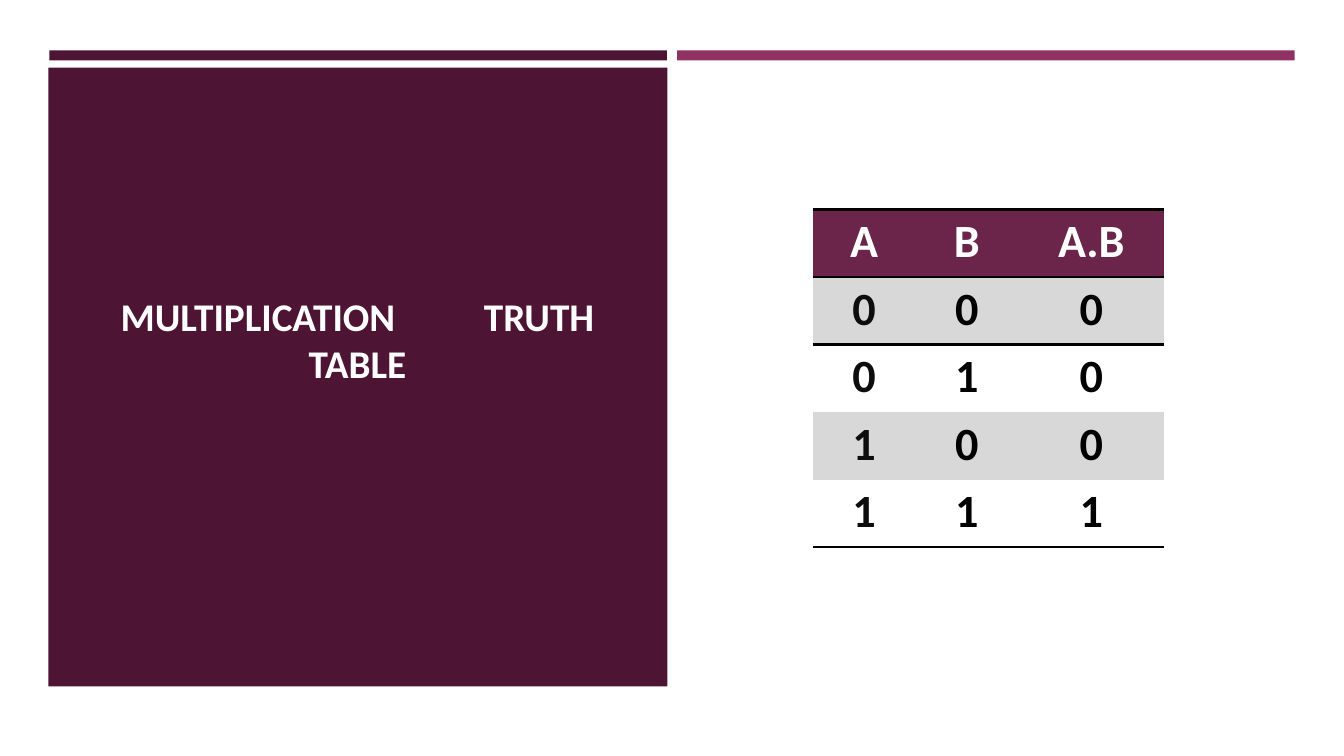
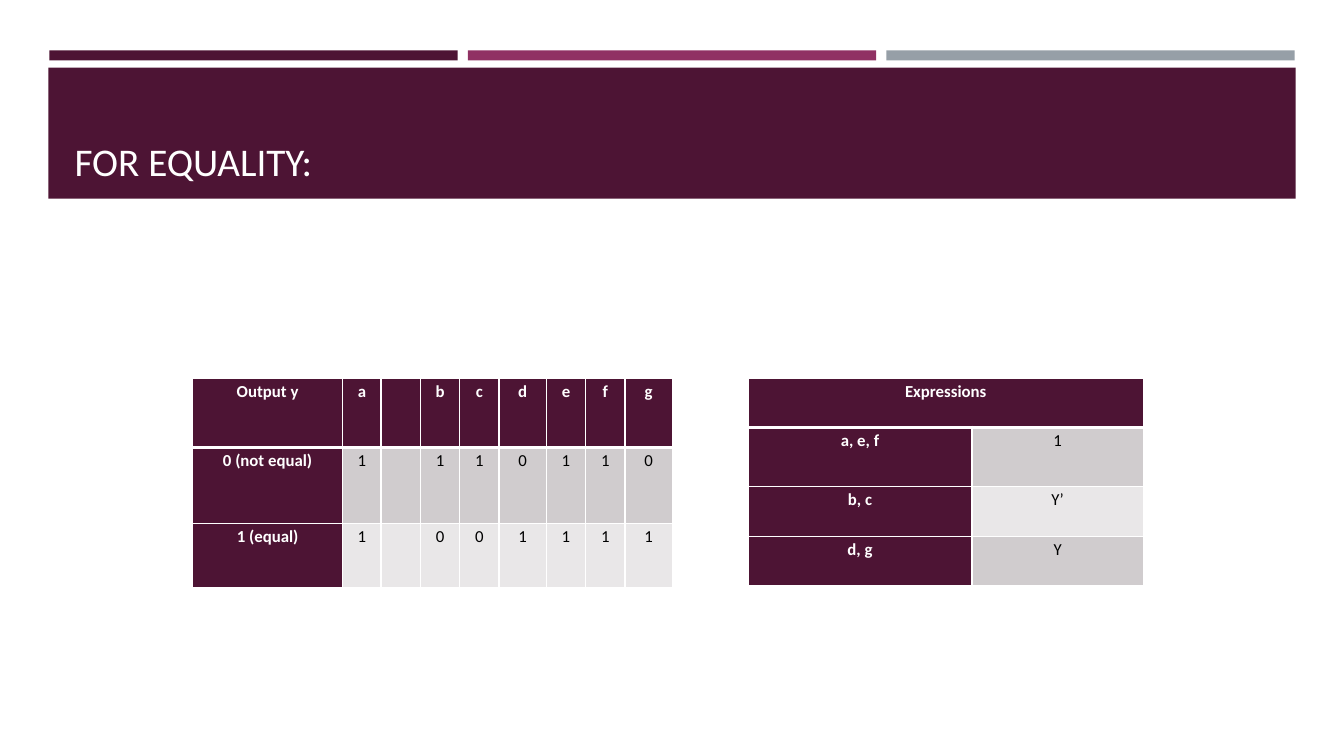
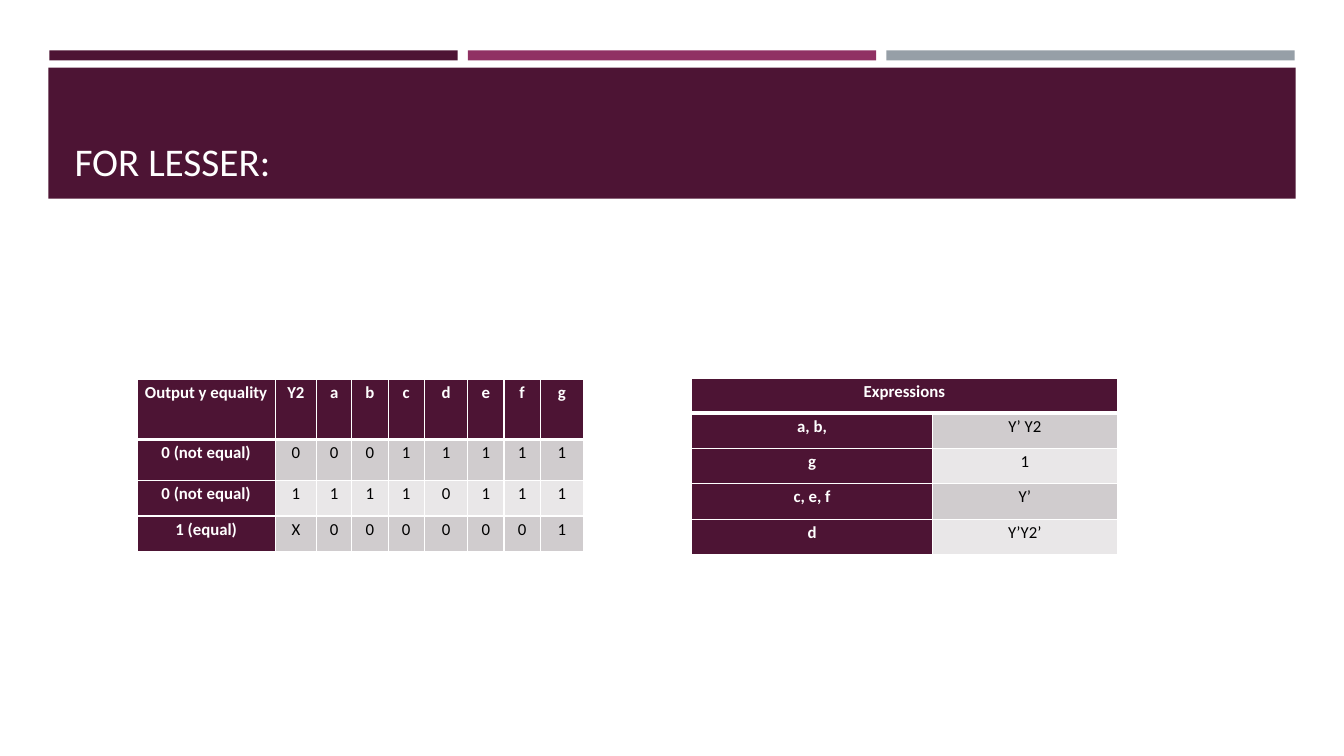
from dataclasses import dataclass

from lxml import etree
from pptx import Presentation
from pptx.dml.color import RGBColor
from pptx.enum.shapes import MSO_SHAPE
from pptx.enum.text import MSO_ANCHOR, MSO_AUTO_SIZE, PP_ALIGN
from pptx.oxml.ns import qn
from pptx.util import Inches, Pt

RECTANGLE = MSO_SHAPE.RECTANGLE
LEFT, CENTER = PP_ALIGN.LEFT, PP_ALIGN.CENTER
BOTTOM = MSO_ANCHOR.BOTTOM
NO_AUTOFIT = MSO_AUTO_SIZE.NONE
NO_GRID_STYLE = "{2D5ABB26-0587-4C30-8999-92F81FD0307C}"


@dataclass(frozen=True)
class Theme:
    font: str = "Calibri"
    white: str = "FFFFFF"
    black: str = "000000"
    soft_black: str = "0D0D0D"
    plum: str = "4D1434"
    plum_header: str = "6C254A"
    magenta: str = "903163"
    steel: str = "969FA7"
    gray: str = "D8D8D8"
    band_dark: str = "D0CCCE"
    band_light: str = "E9E7E8"
    title_size: int = 28
    truth_size: int = 33
    grid_size: int = 12


THEME = Theme()


def apply(target, values):
    for name, value in values.items():
        setattr(target, name, value)


class Deck:
    def __init__(self, theme):
        self.theme = theme
        self.prs = Presentation()
        self.prs.slide_width, self.prs.slide_height = Inches(13.33), Inches(7.5)
        self.slide = None

    def new_slide(self, background):
        self.slide = self.prs.slides.add_slide(self.prs.slide_layouts[5])
        fill = self.slide.background.fill
        fill.solid()
        fill.fore_color.rgb = RGBColor.from_string(background)

    def style_run(self, run, size, color, bold):
        apply(run.font, {"name": self.theme.font, "size": Pt(size), "bold": bold})
        run.font.color.rgb = RGBColor.from_string(color)

    def block(self, left, top, width, height, color):
        block = self.slide.shapes.add_shape(
            RECTANGLE, Inches(left), Inches(top), Inches(width), Inches(height))
        block.shadow.inherit = False
        block.fill.solid()
        block.fill.fore_color.rgb = RGBColor.from_string(color)
        block.line.fill.background()

    def top_bars(self, colors, left=0.49, total=12.35, gap=0.1):
        width = (total - gap * (len(colors) - 1)) / len(colors)
        for i, color in enumerate(colors):
            self.block(left + i * (width + gap), 0.5, width, 0.1, color)

    def title(self, words, box, align=LEFT, bold=False, word_gap=0):
        """Place the title in front; word_gap (points) widens the first space."""
        title = self.slide.shapes.title
        title.element.getparent().append(title.element)
        apply(title, dict(zip(("left", "top", "width", "height"), map(Inches, box))))
        frame = title.text_frame
        apply(frame, {"word_wrap": True, "auto_size": NO_AUTOFIT,
                      "vertical_anchor": BOTTOM})
        paragraph = frame.paragraphs[0]
        paragraph.alignment = align
        first, space, rest = words.partition(" ")
        for part in (first, space, rest):
            run = paragraph.add_run()
            run.text = part
            self.style_run(run, self.theme.title_size, self.theme.white, bold)
            if part == space and word_gap:
                run.font._element.set("spc", str(word_gap * 100))

    def border(self, cell, side, color, width):
        line = etree.SubElement(cell._tc.get_or_add_tcPr(), qn(f"a:ln{side}"),
                                w=str(Pt(width)))
        fill = etree.SubElement(line, qn("a:solidFill"))
        etree.SubElement(fill, qn("a:srgbClr"), val=color)

    def cell(self, cell, text, fill, borders, inset, spacing, **font):
        for side in "LRTB":
            if side in borders:
                self.border(cell, side, *borders[side])
        cell.fill.solid()
        cell.fill.fore_color.rgb = RGBColor.from_string(fill)
        apply(cell, {"margin_left": Inches(inset), "margin_right": Inches(inset),
                     "margin_top": 0, "margin_bottom": 0})
        paragraph = cell.text_frame.paragraphs[0]
        apply(paragraph, {"alignment": CENTER, "line_spacing": spacing})
        if text:
            run = paragraph.add_run()
            run.text = text
            self.style_run(run, **font)

    def table(self, left, top, widths, heights):
        frame = self.slide.shapes.add_table(
            len(heights), len(widths), Inches(left), Inches(top),
            Inches(sum(widths)), Inches(sum(heights)))
        table = frame.table
        apply(table, {"first_row": False, "horz_banding": False})
        table._tbl.tblPr.find(qn("a:tableStyleId")).text = NO_GRID_STYLE
        for column, width in zip(table.columns, widths):
            column.width = Inches(width)
        for row, height in zip(table.rows, heights):
            row.height = Inches(height)
        return table

    def truth_table(self, left, top, widths, row_height, rows):
        t = self.theme
        table = self.table(left, top, widths, [row_height] * len(rows))
        rule = (t.black, 2)
        for r, row in enumerate(rows):
            borders = {"T": rule, "B": rule} if r == 0 else {}
            if r == 1:
                borders = {"T": rule}
            elif r == len(rows) - 1:
                borders = {"B": rule}
            fill = t.plum_header if r == 0 else t.gray if r % 2 else t.white
            for c, text in enumerate(row.split("|")):
                ink = t.white if r == 0 else t.soft_black if c == 0 else t.black
                self.cell(table.cell(r, c), text, fill, borders, 0.21, 1.07,
                          size=t.truth_size, color=ink, bold=True)

    def grid_table(self, left, top, widths, heights, rows):
        """Banded grid; a one-item header spans the whole table."""
        t = self.theme
        table = self.table(left, top, widths, heights)
        for r, row in enumerate(rows):
            texts = row.split("|")
            if len(texts) == 1:
                table.cell(r, 0).merge(table.cell(r, len(widths) - 1))
                texts += [""] * (len(widths) - 1)
            borders = {side: (t.white, 1) for side in "LRTB"}
            if r < 2:
                borders["B" if r == 0 else "T"] = (t.white, 3)
            for c, text in enumerate(texts):
                header = r == 0 or c == 0
                band = t.band_dark if r % 2 else t.band_light
                self.cell(table.cell(r, c), text, t.plum if header else band,
                          borders, 0.07, 1.15, size=t.grid_size,
                          color=t.white if header else t.black, bold=header)

    def titled_slide(self, words):
        t = self.theme
        self.new_slide(t.white)
        self.top_bars([t.plum, t.magenta, t.steel])
        self.block(0.48, 0.67, 12.37, 1.3, t.plum)
        self.title(words, (0.64, 0.77, 12.06, 1.11))


def main():
    deck = Deck(THEME)

    # Multiplication truth table
    deck.new_slide(THEME.black)
    deck.block(0, 0, 13.33, 7.5, THEME.white)
    deck.block(0.48, 0.67, 6.14, 6.14, THEME.plum)
    deck.top_bars([THEME.plum, THEME.magenta])
    deck.title("MULTIPLICATION TRUTH TABLE", (0.83, 1.05, 5.43, 2.83),
               align=CENTER, bold=True, word_gap=57)
    deck.truth_table(8.06, 2.08, [1.02, 1.02, 1.45], 0.67,
                     ["A|B|A.B", "0|0|0", "0|1|0", "1|0|0", "1|1|1"])

    # Equality
    deck.titled_slide("FOR EQUALITY:")
    deck.grid_table(
        1.91, 3.75, [1.49, 0.38, 0.39, 0.39, 0.39, 0.47, 0.39, 0.39, 0.47],
        [0.69, 0.75, 0.64],
        ["Output y|a||b|c|d|e|f|g",
         "0 (not equal)|1||1|1|0|1|1|0",
         "1 (equal)|1||0|0|1|1|1|1"])
    deck.grid_table(7.42, 3.75, [2.22, 1.7], [0.49, 0.59, 0.49, 0.49],
                    ["Expressions", "a, e, f|1", "b, c|Y’", "d, g|Y"])

    # Lesser
    deck.titled_slide("FOR LESSER:")
    deck.grid_table(
        1.36, 3.76, [1.37, 0.41, 0.35, 0.36, 0.36, 0.43, 0.36, 0.36, 0.43],
        [0.6, 0.41, 0.35, 0.35],
        ["Output y equality|Y2|a|b|c|d|e|f|g",
         "0 (not equal)|0|0|0|1|1|1|1|1",
         "0 (not equal)|1|1|1|1|0|1|1|1",
         "1 (equal)|X|0|0|0|0|0|0|1"])
    deck.grid_table(6.86, 3.75, [2.39, 1.83], [0.35] * 5,
                    ["Expressions", "a, b,|Y’ Y2", "g|1", "c, e, f|Y’", "d|Y’Y2’"])

    deck.prs.save("out.pptx")


if __name__ == "__main__":
    main()
